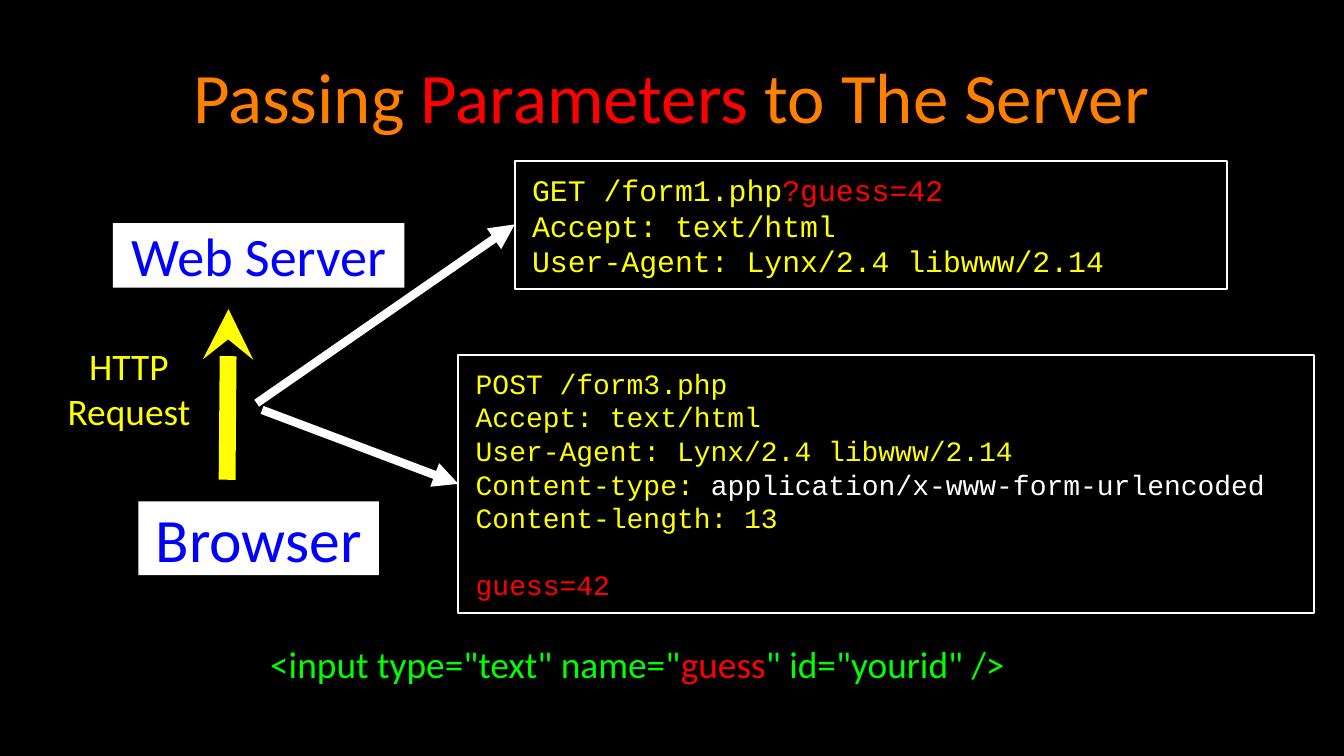
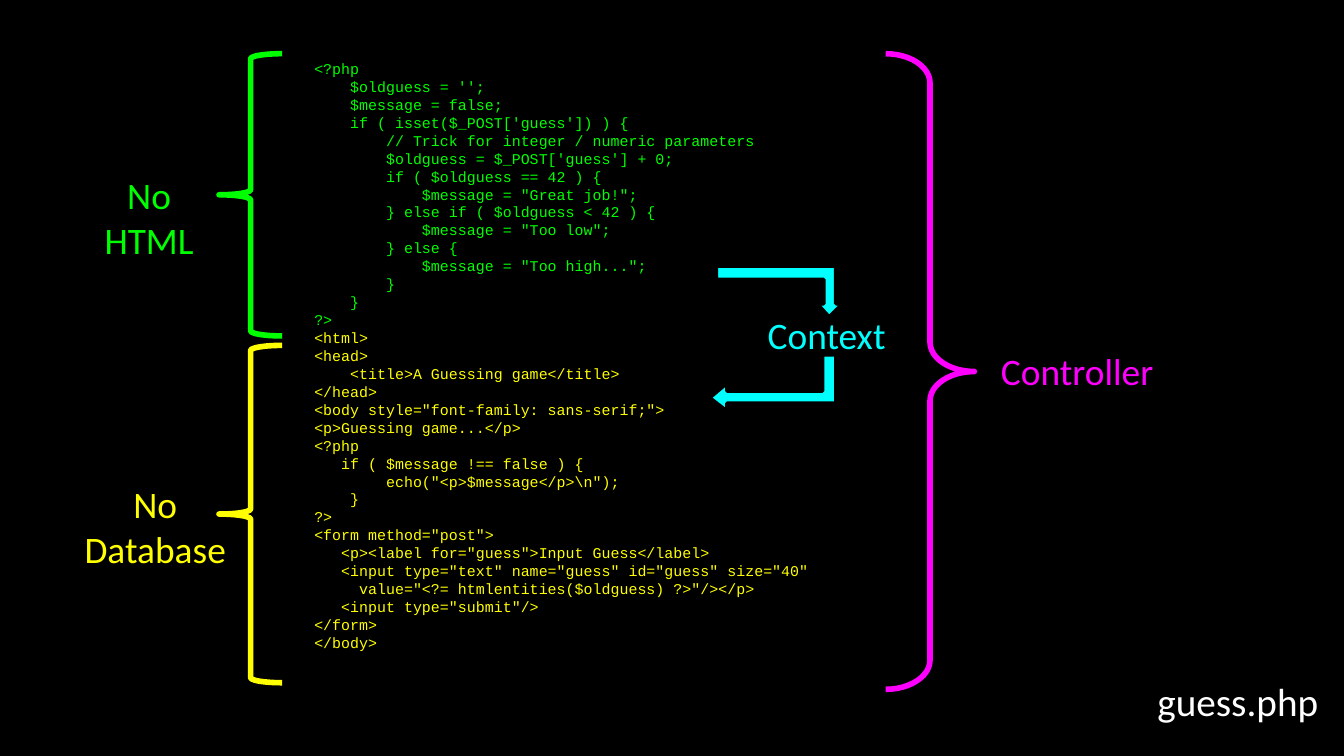
"""Build two slides on passing form parameters to a server and the guess.php code."""
from dataclasses import dataclass

from lxml import etree
from pptx import Presentation
from pptx import util as u
from pptx.dml import color as dml
from pptx.enum import shapes, text
from pptx.oxml import ns

COLORS = {
    "black": "000000", "white": "FFFFFF", "orange": "FF7F00", "red": "FF0000",
    "yellow": "FFFF00", "green": "00FF00", "blue": "0000FF", "cyan": "00FFFF",
    "magenta": "FF00FF",
}
BODY_FONT = "Calibri"
CODE_FONT = "Courier New"
CODE_LEADING = 1.2
LEFT, CENTER = text.PP_ALIGN.LEFT, text.PP_ALIGN.CENTER
BRACES = shapes.MSO_SHAPE


@dataclass
class Line:
    """One paragraph: (text, colour) spans and the space before it in points."""
    spans: list[tuple[str, str]]
    before: float = 0


@dataclass
class Box:
    """A text box with one font and size."""
    at: tuple[float, float, float, float]
    lines: list[Line]
    size: float
    font: str = BODY_FONT
    align: int = CENTER
    fill: str = ""
    border: str = ""
    inset: float = 0
    wrap: bool = False


@dataclass
class Arrow:
    """A straight arrow that points at its end."""
    start: tuple[float, float]
    end: tuple[float, float]
    color: str
    width: float
    head: str


@dataclass
class Brace:
    """A curly brace; curl is the corner size relative to its width."""
    kind: int
    at: tuple[float, float, float, float]
    color: str
    curl: float


def rgb(name: str) -> dml.RGBColor:
    """Return the named colour."""
    return dml.RGBColor.from_string(COLORS[name])


def plain(source: str, color: str) -> list[Line]:
    """Turn each line of text into a paragraph of one colour."""
    return [Line([(row, color)]) for row in source.strip("\n").splitlines()]


def add_slide(prs):
    """Add a blank slide with the black background."""
    s = prs.slides.add_slide(prs.slide_layouts[6])
    s.background.fill.solid()
    s.background.fill.fore_color.rgb = rgb("black")
    return s


def add_box(s, box: Box) -> None:
    """Draw a text box."""
    sp = s.shapes.add_textbox(*map(u.Inches, box.at))
    if box.fill:
        sp.fill.solid()
        sp.fill.fore_color.rgb = rgb(box.fill)
    if box.border:
        sp.line.color.rgb = rgb(box.border)
        sp.line.width = u.Pt(1)
    tf = sp.text_frame
    tf.word_wrap = box.wrap
    tf.vertical_anchor = text.MSO_ANCHOR.MIDDLE
    tf.margin_left = u.Inches(box.inset)
    tf.margin_right = tf.margin_top = tf.margin_bottom = 0
    for i, line in enumerate(box.lines):
        p = tf.paragraphs[0] if i == 0 else tf.add_paragraph()
        p.alignment = box.align
        if box.font == CODE_FONT:
            p.line_spacing = u.Pt(box.size * CODE_LEADING)
        if line.before:
            p.space_before = u.Pt(line.before)
        p.font.name = box.font
        p.font.size = u.Pt(box.size)
        same = len({color for _, color in line.spans}) == 1
        if same:
            p.font.color.rgb = rgb(line.spans[0][1])
        for words, color in line.spans:
            r = p.add_run()
            r.text = words
            if not same:
                r.font.color.rgb = rgb(color)


def add_arrow(s, arrow: Arrow) -> None:
    """Draw an arrow."""
    points = map(u.Inches, arrow.start + arrow.end)
    c = s.shapes.add_connector(shapes.MSO_CONNECTOR.STRAIGHT, *points)
    c.line.color.rgb = rgb(arrow.color)
    c.line.width = u.Pt(arrow.width)
    etree.SubElement(c.line._get_or_add_ln(), ns.qn("a:tailEnd"), type=arrow.head)
    etree.SubElement(c._element.spPr, ns.qn("a:effectLst"))


def add_brace(s, brace: Brace) -> None:
    """Draw a curly brace."""
    sp = s.shapes.add_shape(brace.kind, *map(u.Inches, brace.at))
    sp.shadow.inherit = False
    sp.fill.background()
    sp.line.color.rgb = rgb(brace.color)
    sp.line.width = u.Pt(3)
    sp.adjustments[0] = brace.curl


def add_bent_arrow(s, points: list[tuple[float, float]]) -> None:
    """Draw a bent block arrow from its outline."""
    start, *rest = [(u.Inches(x), u.Inches(y)) for x, y in points]
    builder = s.shapes.build_freeform(*start)
    builder.add_line_segments(rest, close=True)
    sp = builder.convert_to_shape()
    sp.shadow.inherit = False
    sp.fill.solid()
    sp.fill.fore_color.rgb = rgb("cyan")
    sp.line.color.rgb = rgb("black")
    sp.line.width = u.Pt(2)


TITLE = Line([("Passing ", "orange"), ("Parameters", "red"), (" to The Server", "orange")])
GET_LINES = [
    Line([("GET /form1.php", "yellow"), ("?guess=42", "red")]),
    *plain("Accept: text/html\nUser-Agent: Lynx/2.4 libwww/2.14", "yellow"),
]
POST_LINES = [
    *plain("POST /form3.php\nAccept: text/html\nUser-Agent: Lynx/2.4 libwww/2.14", "yellow"),
    Line([("Content-type: ", "yellow"), ("application/x-www-form-urlencoded", "white")]),
    Line([("Content-length: 13", "yellow")]),
    Line([("guess=42", "red")], before=18),
]
INPUT_TAG = Line([('<input type="text" name="', "green"), ("guess", "red"),
                  ('" id="yourid" />', "green")])

REQUEST_BOXES = [
    Box((0.71, 0.15, 8.57, 1.12), [TITLE], 38, wrap=True),
    Box((3.83, 1.2, 5.3, 0.95), GET_LINES, 16, CODE_FONT, LEFT,
        border="white", inset=0.13, wrap=True),
    Box((3.41, 2.64, 6.37, 1.92), POST_LINES, 15, CODE_FONT, LEFT,
        border="white", inset=0.13, wrap=True),
    Box((0.43, 2.55, 1.06, 0.67), plain("HTTP\nRequest", "yellow"), 20),
    Box((1.03, 3.73, 1.79, 0.55), plain("Browser", "blue"), 33, fill="white"),
    Box((0.84, 1.66, 2.17, 0.48), plain("Web Server", "blue"), 29, fill="white"),
    Box((2.01, 4.75, 6.31, 0.38), [INPUT_TAG], 20, align=LEFT, wrap=True),
]
REQUEST_ARROWS = [
    Arrow((1.69, 3.57), (1.7, 2.3), "yellow", 9, "stealth"),
    Arrow((1.91, 3), (3.83, 1.67), "white", 4.5, "triangle"),
    Arrow((1.95, 3.05), (3.41, 3.6), "white", 4.5, "triangle"),
]

MODEL_CODE = r"""
<?php
    $oldguess = '';
    $message = false;
    if ( isset($_POST['guess']) ) {
        // Trick for integer / numeric parameters
        $oldguess = $_POST['guess'] + 0;
        if ( $oldguess == 42 ) {
            $message = "Great job!";
        } else if ( $oldguess < 42 ) {
            $message = "Too low";
        } else {
            $message = "Too high...";
        }
    }
?>
"""
VIEW_CODE = r"""
<html>
<head>
    <title>A Guessing game</title>
</head>
<body style="font-family: sans-serif;">
<p>Guessing game...</p>
<?php
   if ( $message !== false ) {
        echo("<p>$message</p>\n");
    }
?>
<form method="post">
   <p><label for="guess">Input Guess</label>
   <input type="text" name="guess" id="guess" size="40"
     value="<?= htmlentities($oldguess) ?>"/></p>
   <input type="submit"/>
</form>
</body>
"""
CODE_BOXES = [
    Box((8.5, 5.04, 1.42, 0.35), plain("guess.php", "white"), 21),
    Box((2.24, 0.4, 5, 4.49), plain(MODEL_CODE, "green") + plain(VIEW_CODE, "yellow"),
        8, CODE_FONT, LEFT, inset=0.1, wrap=True),
    Box((0.63, 1.23, 0.96, 0.77), plain("No\nHTML", "green"), 20),
    Box((0.44, 3.53, 1.43, 0.77), plain("No\nDatabase", "yellow"), 20),
    Box((7.26, 2.54, 1.51, 0.44), plain("Controller", "magenta"), 20),
    Box((5.54, 2.27, 1.22, 0.44), plain("Context", "cyan"), 20),
]
CODE_BRACES = [
    Brace(BRACES.LEFT_BRACE, (1.63, 0.4, 0.47, 2.1), "green", 0.08),
    Brace(BRACES.LEFT_BRACE, (1.63, 2.57, 0.47, 2.51), "yellow", 0.08),
    Brace(BRACES.RIGHT_BRACE, (6.59, 0.4, 0.66, 4.73), "magenta", 0.33),
]
CONTEXT_ARROWS = [
    [(5.33, 2.08), (6.13, 2.08), (6.13, 2.26), (6.08, 2.26), (6.17, 2.36),
     (6.27, 2.26), (6.22, 2.26), (6.22, 1.98), (5.33, 1.98)],
    [(6.12, 2.64), (6.12, 2.91), (5.41, 2.91), (5.41, 2.85), (5.28, 2.96),
     (5.41, 3.06), (5.41, 3), (6.22, 3), (6.22, 2.64)],
]


def main() -> None:
    """Build and save the slides."""
    prs = Presentation()
    prs.slide_width = u.Inches(10)
    prs.slide_height = prs.slide_width * 9 // 16

    s = add_slide(prs)
    for box in REQUEST_BOXES:
        add_box(s, box)
    for arrow in REQUEST_ARROWS:
        add_arrow(s, arrow)

    s = add_slide(prs)
    for box in CODE_BOXES:
        add_box(s, box)
    for brace in CODE_BRACES:
        add_brace(s, brace)
    for points in CONTEXT_ARROWS:
        add_bent_arrow(s, points)

    prs.save("out.pptx")


if __name__ == "__main__":
    main()
